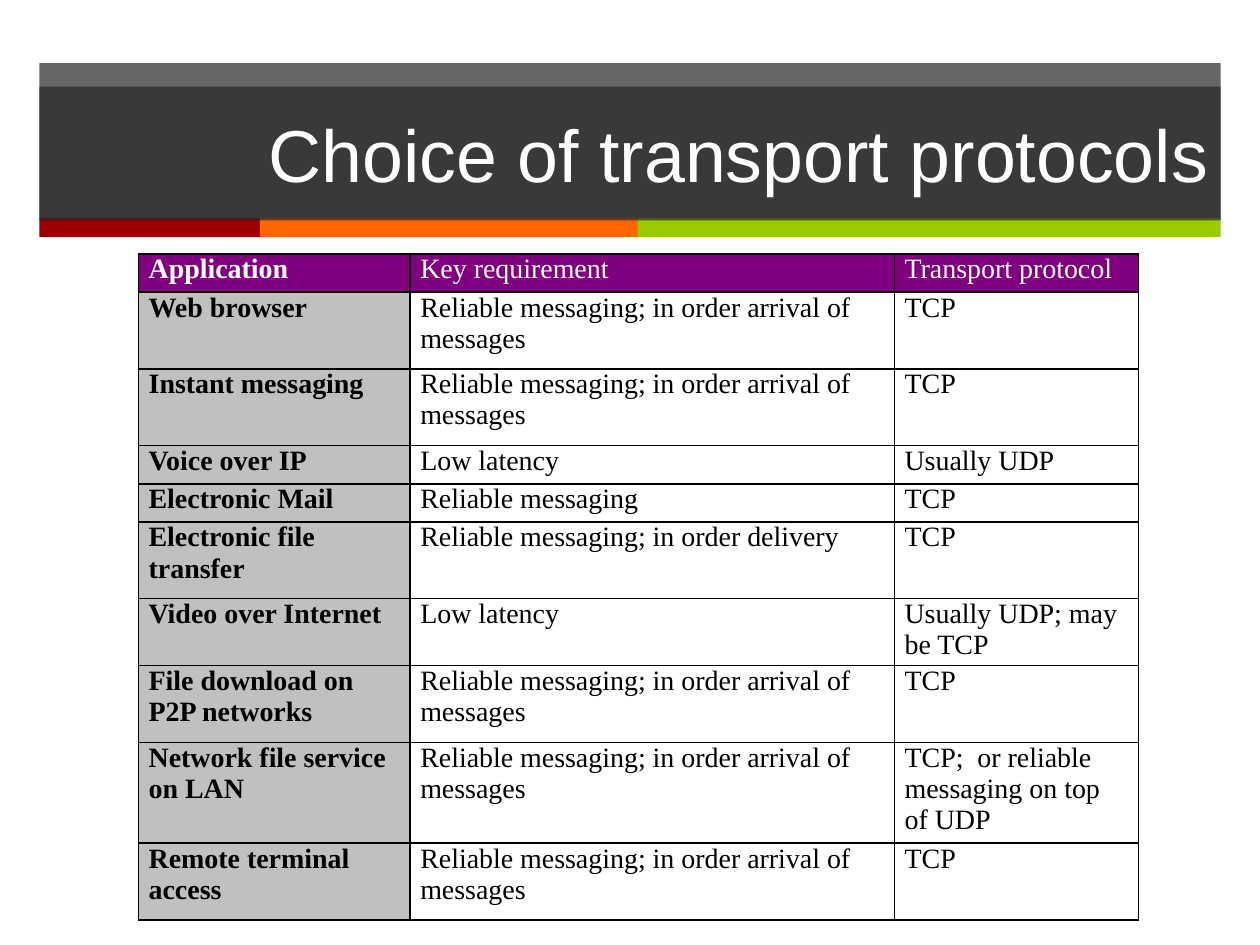
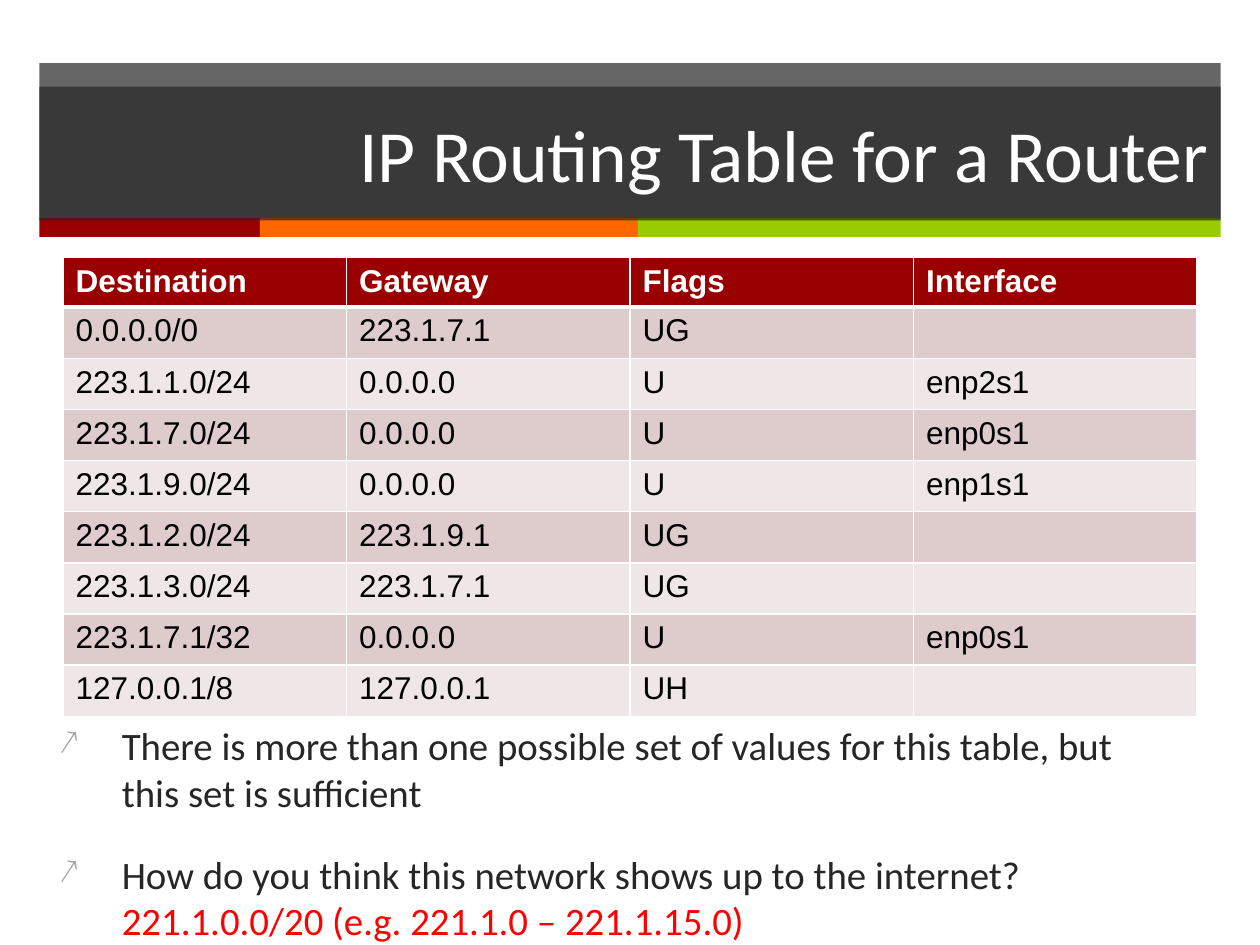
from lxml import etree
from pptx import Presentation
from pptx import util as u
from pptx.dml.color import RGBColor
from pptx.enum import shapes, text
from pptx.oxml import ns

COLORS = {
    "white": "FFFFFF",
    "black": "000000",
    "charcoal": "262626",
    "bullet": "A6A6A6",
    "crimson": "990000",
    "orange": "FF6600",
    "lime": "99CC00",
    "purple": "800080",
    "silver": "C0C0C0",
    "rose": "DECCCC",
    "pale_rose": "EFE7E7",
    "red": "FF0000",
}
GRID_COLUMNS, GRID_ROWS = 32, 24
BAND_LEFT, BAND_WIDTH = 1, 30
STRIPES = [("crimson", 5.6), ("orange", 9.6), ("lime", 14.8)]

IN_ORDER = "Reliable messaging; in order arrival of messages"
PROTOCOL_ROWS = [
    ("Application", "Key requirement", "Transport protocol"),
    ("Web browser", IN_ORDER, "TCP"),
    ("Instant messaging", IN_ORDER, "TCP"),
    ("Voice over IP", "Low latency", "Usually UDP"),
    ("Electronic Mail", "Reliable messaging", "TCP"),
    ("Electronic file transfer", "Reliable messaging; in order delivery", "TCP"),
    ("Video over Internet", "Low latency", "Usually UDP; may be TCP"),
    ("File download on P2P networks", IN_ORDER, "TCP"),
    ("Network file service on LAN", IN_ORDER, "TCP;  or reliable messaging on top of UDP"),
    ("Remote terminal access", IN_ORDER, "TCP"),
]
SINGLE, DOUBLE = 0.97, 1.95
PROTOCOL_HEIGHTS = [SINGLE, DOUBLE, DOUBLE, SINGLE, SINGLE, DOUBLE, 1.7, DOUBLE, 2.56, DOUBLE]

ROUTING_ROWS = [
    ("Destination", "Gateway", "Flags", "Interface"),
    ("0.0.0.0/0", "223.1.7.1", "UG", ""),
    ("223.1.1.0/24", "0.0.0.0", "U", "enp2s1"),
    ("223.1.7.0/24", "0.0.0.0", "U", "enp0s1"),
    ("223.1.9.0/24", "0.0.0.0", "U", "enp1s1"),
    ("223.1.2.0/24", "223.1.9.1", "UG", ""),
    ("223.1.3.0/24", "223.1.7.1", "UG", ""),
    ("223.1.7.1/32", "0.0.0.0", "U", "enp0s1"),
    ("127.0.0.1/8", "127.0.0.1", "UH", ""),
]
ROUTING_NOTES = [
    [("There is more than one possible set of values for this table, but this set is sufficient", None)],
    [
        ("How do you think this network shows up to the internet?", None),
        ("221.1.0.0/20 (e.g. 221.1.0 – 221.1.15.0)", "red"),
    ],
]


def rgb(color):
    return RGBColor.from_string(COLORS[color])


def add_xml(parent, tag, **attributes):
    return etree.SubElement(parent, ns.qn(tag), attributes)


def set_font(font, name, size, color, bold=False):
    font.name = name
    font.size = u.Pt(size)
    font.bold = bold
    font.color.rgb = rgb(color)


class Deck:
    def __init__(self):
        self.presentation = Presentation()
        self.presentation.slide_width = u.Inches(10)
        self.presentation.slide_height = u.Inches(7.5)
        self.slide = None

    def across(self, columns):
        return int(self.presentation.slide_width * columns / GRID_COLUMNS)

    def down(self, rows):
        return int(self.presentation.slide_height * rows / GRID_ROWS)

    def box(self, left, top, width, height):
        return self.across(left), self.down(top), self.across(width), self.down(height)

    def start_slide(self, title, title_font):
        self.slide = self.presentation.slides.add_slide(self.presentation.slide_layouts[6])
        self.rectangle(BAND_LEFT, 1.6, BAND_WIDTH, 3.96, "charcoal", 70)
        left = BAND_LEFT
        for color, width in STRIPES:
            self.rectangle(left, 5.54, width, 0.48, color)
            left += width
        self.title(title, title_font)

    def rectangle(self, left, top, width, height, color, opacity=100):
        shape = self.slide.shapes.add_shape(
            shapes.MSO_SHAPE.RECTANGLE, *self.box(left, top, width, height))
        shape.shadow.inherit = False
        shape.fill.solid()
        shape.fill.fore_color.rgb = rgb(color)
        shape.line.fill.background()
        if opacity < 100:
            fill_color = shape.fill._xPr.find(".//" + ns.qn("a:srgbClr"))
            add_xml(fill_color, "a:alpha", val=str(opacity * 1000))
        return shape

    def title(self, wording, font_name):
        shape = self.rectangle(BAND_LEFT, 2.2, BAND_WIDTH, 3.4, "charcoal", 70)
        frame = shape.text_frame
        frame.word_wrap = True
        frame.vertical_anchor = text.MSO_ANCHOR.MIDDLE
        paragraph = frame.paragraphs[0]
        paragraph.text = wording
        paragraph.alignment = text.PP_ALIGN.RIGHT
        set_font(paragraph.font, font_name, 42, "white")

    def table(self, left, top, widths, heights, rows, style):
        table = self.slide.shapes.add_table(
            len(rows), len(widths), *self.box(left, top, sum(widths), sum(heights))).table
        table.first_row = False
        table.horz_banding = False
        for column, width in zip(table.columns, widths):
            column.width = self.across(width)
        for row, height in zip(table.rows, heights):
            row.height = self.down(height)
        for row_index, wordings in enumerate(rows):
            for column_index, wording in enumerate(wordings):
                cell = table.cell(row_index, column_index)
                style(self, cell, row_index, column_index)
                self.cell_text(cell, wording, row_index, column_index)

    def cell_text(self, cell, wording, row_index, column_index):
        pass

    def borders(self, cell, color, top=1, bottom=1):
        properties = cell._tc.get_or_add_tcPr()
        for side, width in (("L", 1), ("R", 1), ("T", top), ("B", bottom)):
            line = add_xml(properties, "a:ln" + side, w=str(u.Pt(width)))
            add_xml(add_xml(line, "a:solidFill"), "a:srgbClr", val=COLORS[color])

    def cell_fill(self, cell, color):
        if color:
            cell.fill.solid()
            cell.fill.fore_color.rgb = rgb(color)
        else:
            cell.fill.background()

    def bullets(self, left, top, width, height, items):
        frame = self.slide.shapes.add_textbox(*self.box(left, top, width, height)).text_frame
        frame.word_wrap = True
        for index, lines in enumerate(items):
            paragraph = frame.paragraphs[0] if index == 0 else frame.add_paragraph()
            properties = paragraph._p.get_or_add_pPr()
            properties.set("marL", str(u.Inches(0.5)))
            properties.set("indent", str(-u.Inches(0.5)))
            add_xml(add_xml(properties, "a:buClr"), "a:srgbClr", val=COLORS["bullet"])
            add_xml(properties, "a:buSzPct", val="90000")
            add_xml(properties, "a:buChar", char="↗")
            if index:
                paragraph.space_before = u.Pt(20)
            set_font(paragraph.font, "Calibri", 22.2, "charcoal")
            for line_index, (wording, color) in enumerate(lines):
                if line_index:
                    paragraph.add_line_break()
                run = paragraph.add_run()
                run.text = wording
                if color:
                    run.font.color.rgb = rgb(color)


class TableDeck(Deck):
    cell_font = ("Arial", 18)

    def cell_text(self, cell, wording, row_index, column_index):
        paragraph = cell.text_frame.paragraphs[0]
        paragraph.text = wording
        name, size = self.cell_font
        bold = column_index == 0 if name == "Times New Roman" else row_index == 0
        set_font(paragraph.font, name, size, "black" if row_index else "white", bold)


def protocol_style(deck, cell, row_index, column_index):
    cell.margin_left = cell.margin_right = u.Inches(0.08)
    cell.margin_top = cell.margin_bottom = 0
    deck.borders(cell, "black")
    body_color = None if column_index else "silver"
    deck.cell_fill(cell, body_color if row_index else "purple")


def routing_style(deck, cell, row_index, column_index):
    deck.borders(cell, "white", top=3 if row_index == 1 else 1, bottom=1 if row_index else 3)
    band_color = "rose" if row_index % 2 else "pale_rose"
    deck.cell_fill(cell, band_color if row_index else "crimson")


def main():
    deck = TableDeck()

    deck.start_slide("Choice of transport protocols", "Arial")
    deck.cell_font = ("Times New Roman", 16)
    deck.table(3.52, 6.45, [6.9, 12.3, 6.2], PROTOCOL_HEIGHTS, PROTOCOL_ROWS, protocol_style)

    deck.start_slide("IP Routing Table for a Router", "Calibri")
    deck.cell_font = ("Arial", 18)
    heights = [1.26] + [1.3] * (len(ROUTING_ROWS) - 1)
    deck.table(1.6, 6.54, [7.2] * 4, heights, ROUTING_ROWS, routing_style)
    deck.bullets(1.18, 18.18, 28.8, 5.28, ROUTING_NOTES)

    deck.presentation.save("out.pptx")


if __name__ == "__main__":
    main()
